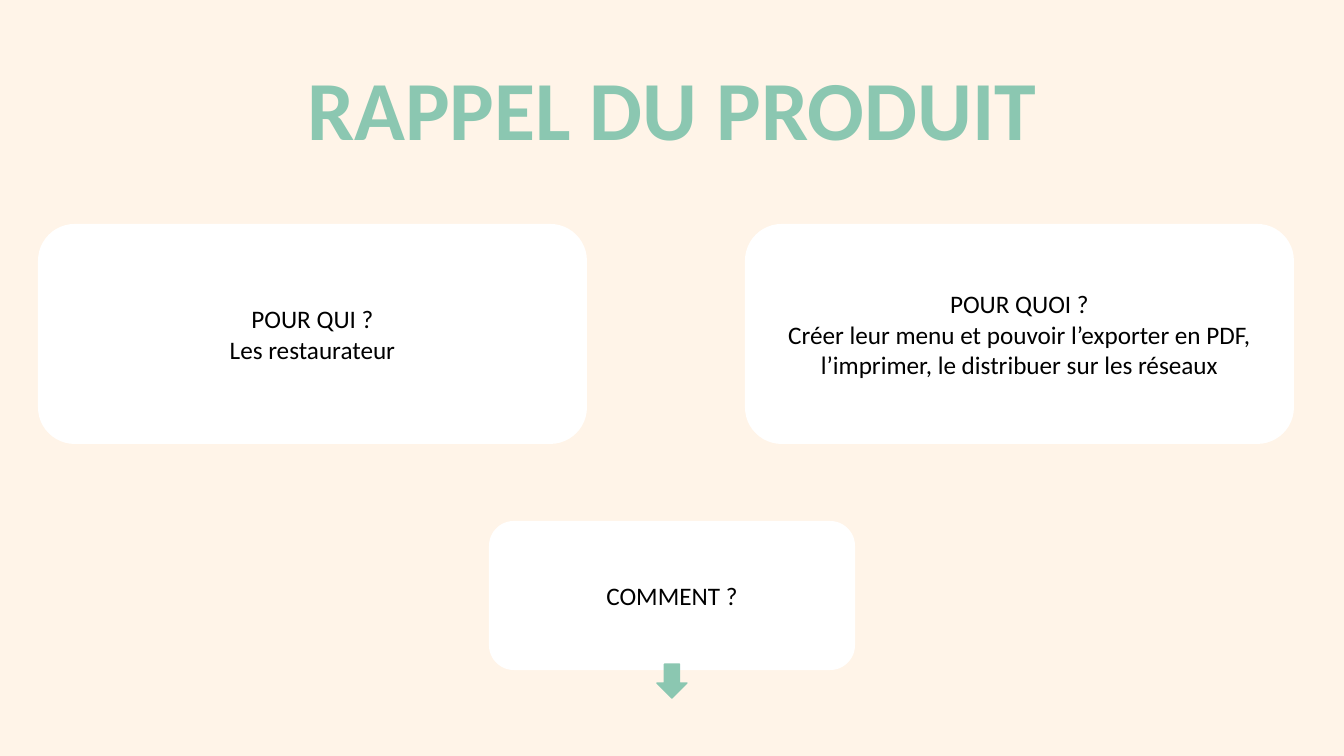
from pptx import Presentation
from pptx.dml.color import RGBColor
from pptx.enum.shapes import MSO_SHAPE
from pptx.enum.text import MSO_ANCHOR, PP_ALIGN
from pptx.util import Pt

ROUND_RECT = MSO_SHAPE.ROUNDED_RECTANGLE
DOWN_ARROW = MSO_SHAPE.DOWN_ARROW
MIDDLE, BOTTOM = MSO_ANCHOR.MIDDLE, MSO_ANCHOR.BOTTOM
CENTER = PP_ALIGN.CENTER

EMU_PER_PX = 914400 / 100.8
SLIDE_W, SLIDE_H = 1344, 756
FONT = "Calibri"
COLORS = {"cream": "FFF4E8", "green": "8BC7B1", "white": "FFFFFF", "black": "000000"}

# Left, top, width, height in px, then the lines of text
CARDS = [
    (38, 224, 549, 220, ["POUR QUI ?", "Les restaurateur"]),
    (745, 224, 549, 220, [
        "POUR QUOI ?",
        "Créer leur menu et pouvoir l’exporter en PDF, "
        "l’imprimer, le distribuer sur les réseaux",
    ]),
    (489, 521, 366, 149, ["COMMENT ?"]),
]


def px(*lengths):
    return [round(n * EMU_PER_PX) for n in lengths]


def rgb(name):
    return RGBColor.from_string(COLORS[name])


def write(tf, lines, size=18, color="black", bold=False, anchor=MIDDLE, spacing=None):
    tf.word_wrap = True
    tf.vertical_anchor = anchor
    for i, line in enumerate(lines):
        p = tf.paragraphs[0] if i == 0 else tf.add_paragraph()
        p.alignment = CENTER
        p.line_spacing = spacing
        r = p.add_run()
        r.text = line
        r.font.name = FONT
        r.font.size = Pt(size)
        r.font.bold = bold
        r.font.color.rgb = rgb(color)


def add_title(s, box, text):
    sp = s.shapes.add_textbox(*px(*box))
    write(sp.text_frame, [text], size=60, color="green", bold=True,
          anchor=BOTTOM, spacing=0.9)


def add_shape(s, kind, box, fill, line=None):
    sp = s.shapes.add_shape(kind, *px(*box))
    sp.shadow.inherit = False
    sp.fill.solid()
    sp.fill.fore_color.rgb = rgb(fill)
    if line:
        sp.line.color.rgb = rgb(line)
        sp.line.width = Pt(1)
    else:
        sp.line.fill.background()
    return sp


def main():
    prs = Presentation()
    prs.slide_width, prs.slide_height = px(SLIDE_W, SLIDE_H)
    s = prs.slides.add_slide(prs.slide_layouts[6])

    # Background
    s.background.fill.solid()
    s.background.fill.fore_color.rgb = rgb("cream")

    # Title
    add_title(s, (168, 47, 1008, 117), "RAPPEL DU PRODUIT")

    # Question cards
    for *box, lines in CARDS:
        card = add_shape(s, ROUND_RECT, box, "white")
        write(card.text_frame, lines)

    # Arrow leading on from the last card
    add_shape(s, DOWN_ARROW, (657, 664, 30, 34), "green", line="green")

    prs.save("out.pptx")


if __name__ == "__main__":
    main()
